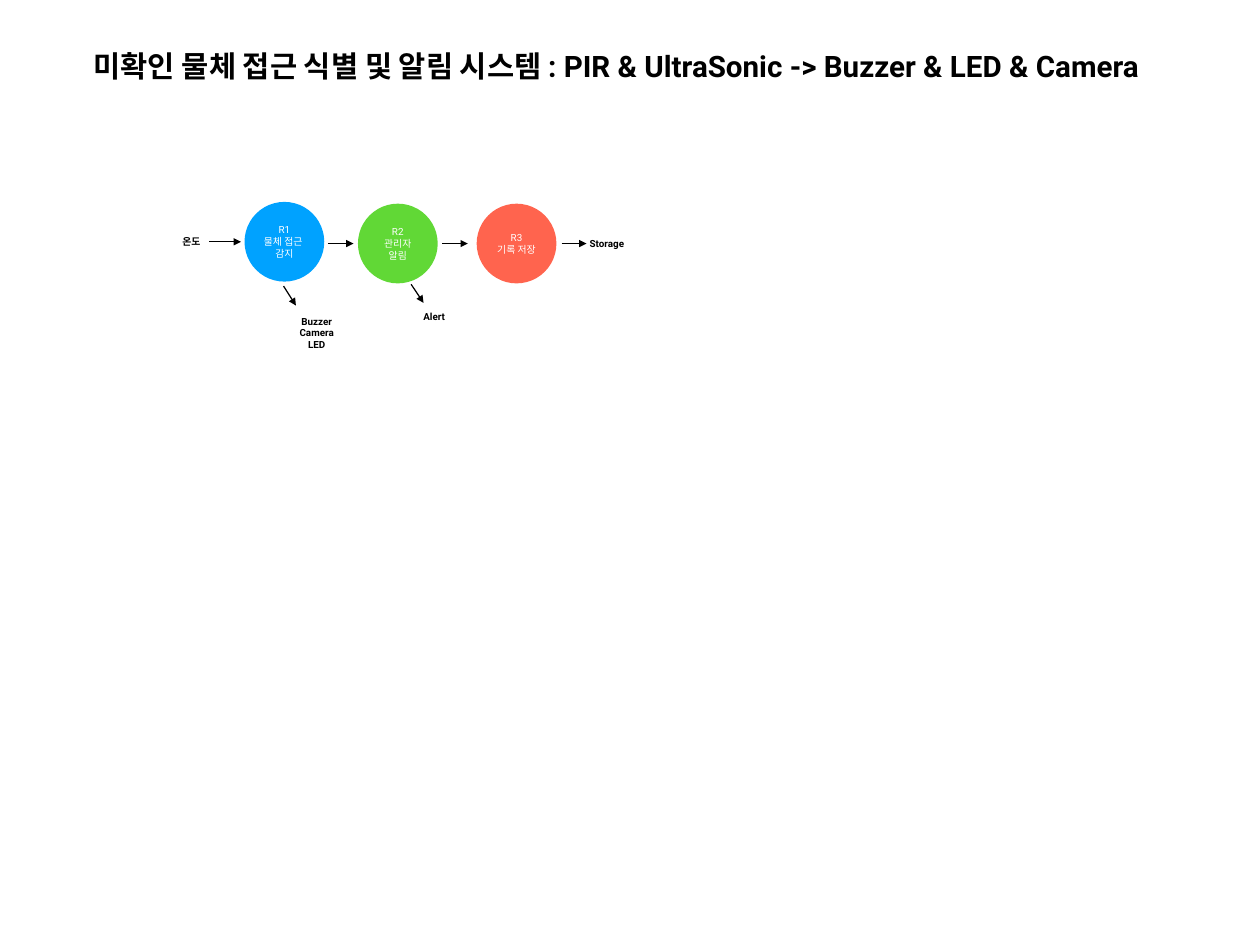
from lxml import etree
from pptx import Presentation
from pptx.dml.color import RGBColor
from pptx.enum.shapes import MSO_CONNECTOR, MSO_SHAPE
from pptx.enum.text import MSO_ANCHOR, MSO_AUTO_SIZE, PP_ALIGN
from pptx.oxml.ns import qn
from pptx.util import Inches, Pt

OVAL = MSO_SHAPE.OVAL
STRAIGHT = MSO_CONNECTOR.STRAIGHT
MIDDLE = MSO_ANCHOR.MIDDLE
CENTER = PP_ALIGN.CENTER
FIT_SHAPE = MSO_AUTO_SIZE.SHAPE_TO_FIT_TEXT

BLACK = RGBColor(0x00, 0x00, 0x00)
WHITE = RGBColor(0xFF, 0xFF, 0xFF)
BLUE = RGBColor(0x00, 0xA2, 0xFF)
GREEN = RGBColor(0x61, 0xD8, 0x36)
RED = RGBColor(0xFF, 0x64, 0x4E)

FONT = "Roboto"
INSET = Inches(0.06)
STAGE_SIZE = 0.9

TITLE = "미확인 물체 접근 식별 및 알림 시스템 : PIR & UltraSonic -> Buzzer & LED & Camera"

# Stages: left, top, colour, text
STAGES = [
    (2.76, 2.28, BLUE, "R1\n물체 접근 \v감지"),
    (4.04, 2.3, GREEN, "R2\n관리자 알림"),
    (5.38, 2.3, RED, "R3\n기록 저장"),
]

# Labels: left, top, width, height, text
LABELS = [
    (1.95, 2.61, 0.42, 0.24, "온도"),
    (6.58, 2.62, 0.54, 0.25, "Storage"),
    (3.29, 3.5, 0.57, 0.52, "Buzzer\nCamera\nLED"),
    (4.71, 3.45, 0.38, 0.25, "Alert"),
]

# Arrows: start x, start y, end x, end y
ARROWS = [
    (2.36, 2.73, 2.72, 2.73),
    (3.7, 2.75, 3.99, 2.75),
    (4.99, 2.75, 5.28, 2.75),
    (6.34, 2.75, 6.62, 2.75),
    (3.2, 3.23, 3.34, 3.45),
    (4.64, 3.21, 4.78, 3.42),
]


def write_text(frame, text, size, color, bold):
    frame.margin_left = frame.margin_right = INSET
    frame.margin_top = frame.margin_bottom = INSET
    frame.vertical_anchor = MIDDLE
    frame.text = text
    for paragraph in frame.paragraphs:
        paragraph.alignment = CENTER
        for run in paragraph.runs:
            run.font.name = FONT
            run.font.size = Pt(size)
            run.font.bold = bold
            run.font.color.rgb = color


def add_label(slide, left, top, width, height, text, size=8):
    label = slide.shapes.add_textbox(
        Inches(left), Inches(top), Inches(width), Inches(height))
    label.text_frame.word_wrap = False
    label.text_frame.auto_size = FIT_SHAPE
    write_text(label.text_frame, text, size, BLACK, True)


def add_stage(slide, left, top, color, text):
    stage = slide.shapes.add_shape(
        OVAL, Inches(left), Inches(top), Inches(STAGE_SIZE), Inches(STAGE_SIZE))
    stage.shadow.inherit = False
    stage.fill.solid()
    stage.fill.fore_color.rgb = color
    stage.line.fill.background()
    stage.text_frame.word_wrap = True
    write_text(stage.text_frame, text, 8, WHITE, False)


def add_arrow(slide, *ends):
    arrow = slide.shapes.add_connector(STRAIGHT, *(Inches(end) for end in ends))
    arrow.line.color.rgb = BLACK
    arrow.line.width = Pt(1)
    properties = arrow.element.spPr
    etree.SubElement(properties.find(qn("a:ln")), qn("a:tailEnd"), type="triangle")
    etree.SubElement(properties, qn("a:effectLst"))


def main():
    deck = Presentation()
    deck.slide_width = Inches(14.22)
    deck.slide_height = Inches(10.67)
    slide = deck.slides.add_slide(deck.slide_layouts[6])

    # Title
    add_label(slide, 0.81, 0.48, 12.29, 0.53, TITLE, size=24)

    # Process flow
    for stage in STAGES:
        add_stage(slide, *stage)
    for arrow in ARROWS:
        add_arrow(slide, *arrow)

    # Inputs and outputs
    for label in LABELS:
        add_label(slide, *label)

    deck.save("out.pptx")


main()
